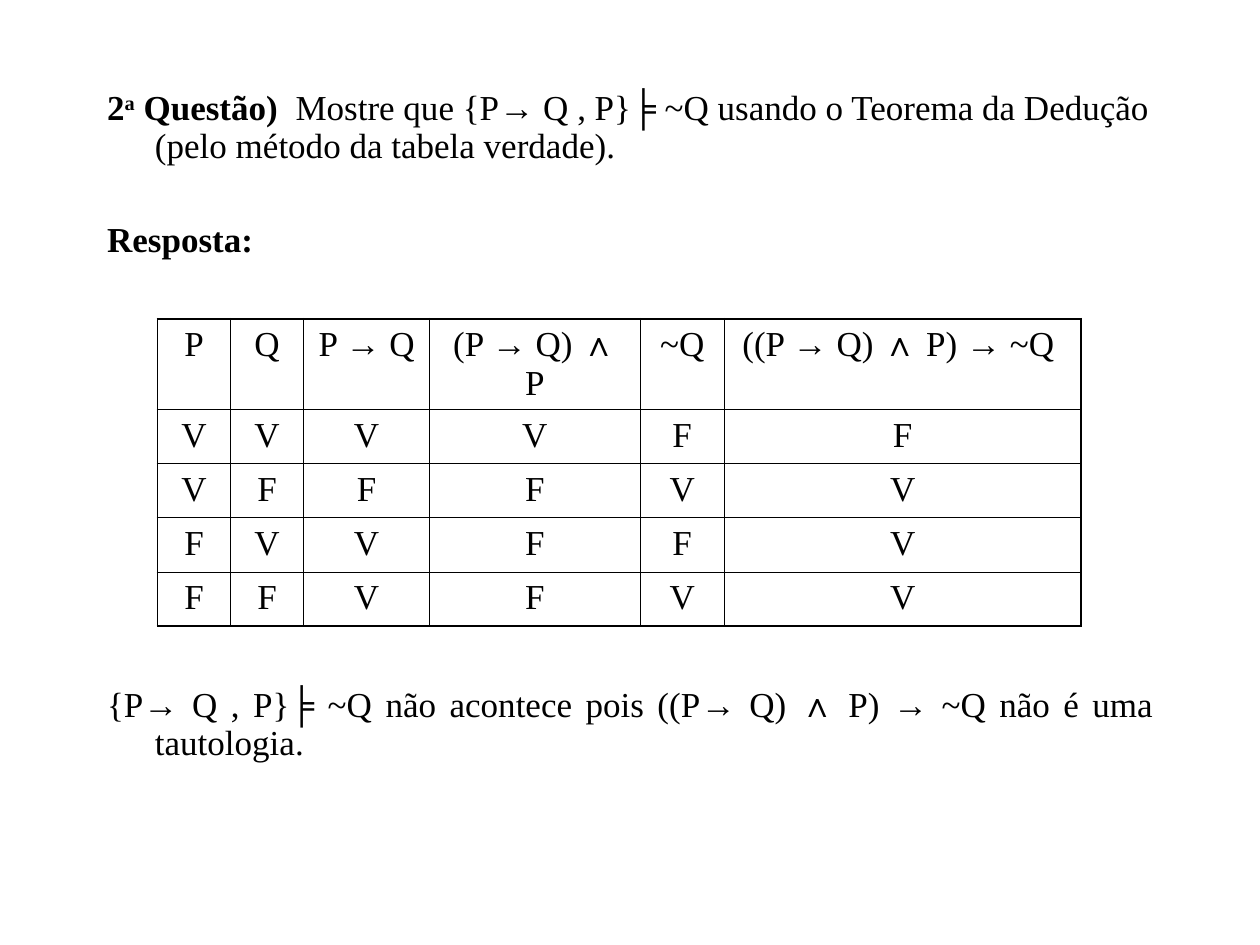
from itertools import groupby

from lxml.etree import SubElement
from pptx import Presentation
from pptx.dml.color import RGBColor
from pptx.enum.text import MSO_AUTO_SIZE, PP_ALIGN
from pptx.oxml.ns import qn
from pptx.util import Inches, Pt

COLORS = {"ink": "000000"}
TEXT_FONT, SYMBOL_FONT, SYMBOLS = "Times New Roman", "Arial", "→∧"
HANGING = Inches(0.38)
BORDER = {"outer": Pt(1.08), "inner": Pt(0.45)}

BOLD, RAISED, PLAIN = {"bold": True}, {"bold": True, "raised": True}, {}
# Each paragraph: space before in points, alignment, (text, style) spans
PARAGRAPHS = [
    (5, PP_ALIGN.LEFT, [
        ("2", BOLD), ("a", RAISED), (" Questão)  ", BOLD),
        ("Mostre que {P→ Q , P}╞ ~Q usando o Teorema da Dedução "
         "(pelo método da tabela verdade).", PLAIN)]),
    (32, PP_ALIGN.LEFT, [("Resposta:", BOLD)]),
    (244, PP_ALIGN.JUSTIFY, [
        ("{P→ Q , P}╞ ~Q não acontece pois ((P→ Q) ∧ P) → ~Q "
         "não é uma tautologia.", PLAIN)]),
]
TRUTH_TABLE = [
    ["P", "Q", "P → Q", "(P → Q) ∧ P", "~Q", "((P → Q) ∧ P) → ~Q "],
    *map(list, ["VVVVFF", "VFFFVV", "FVVFFV", "FFVFVV"]),
]
COLUMN_WIDTHS = [0.58, 0.58, 1, 1.67, 0.67, 2.83]
ROW_HEIGHT = 0.43


def write(para, text, bold=False, raised=False):
    """Add text to a paragraph, with the logic symbols in their own font."""
    for is_symbol, letters in groupby(text, lambda letter: letter in SYMBOLS):
        span = para.add_run()
        span.text = "".join(letters)
        formats = {"name": SYMBOL_FONT if is_symbol else TEXT_FONT,
                   "size": Pt(20), "bold": bold}
        for name, value in formats.items():
            setattr(span.font, name, value)
        span.font.color.rgb = RGBColor.from_string(COLORS["ink"])
        if raised:
            span.font._element.set("baseline", "30000")


def set_borders(cell, outer_sides):
    properties = cell._tc.get_or_add_tcPr()
    for position, side in enumerate("LRTB"):
        line = SubElement(properties, qn(f"a:ln{side}"))
        line.set("w", str(BORDER["outer" if side in outer_sides else "inner"]))
        fill = SubElement(line, qn("a:solidFill"))
        SubElement(fill, qn("a:srgbClr")).set("val", COLORS["ink"])
        properties.remove(line)
        properties.insert(position, line)


def add_body(page):
    body = page.placeholders[1]
    body.left, body.top, body.width, body.height = map(
        Inches, (0.75, 0.67, 8.5, 6))
    frame = body.text_frame
    frame.word_wrap = True
    frame.auto_size = MSO_AUTO_SIZE.NONE
    for index, (space, alignment, spans) in enumerate(PARAGRAPHS):
        para = frame.add_paragraph() if index else frame.paragraphs[0]
        formats = {"space_before": Pt(space), "line_spacing": 0.9,
                   "alignment": alignment}
        for name, value in formats.items():
            setattr(para, name, value)
        properties = para._p.get_or_add_pPr()
        properties.set("marL", str(HANGING))
        properties.set("indent", str(-HANGING))
        SubElement(properties, qn("a:buNone"))
        for text, style in spans:
            write(para, text, **style)


def add_truth_table(page):
    rows, columns = len(TRUTH_TABLE), len(COLUMN_WIDTHS)
    table = page.shapes.add_table(
        rows, columns, Inches(1.25), Inches(2.53),
        Inches(sum(COLUMN_WIDTHS)), Inches(rows * ROW_HEIGHT)).table
    table.first_row = table.horz_banding = False
    for column, width in zip(table.columns, COLUMN_WIDTHS):
        column.width = Inches(width)
    for r, values in enumerate(TRUTH_TABLE):
        for c, value in enumerate(values):
            cell = table.cell(r, c)
            cell.fill.background()
            edges = {"L": c == 0, "R": c == columns - 1,
                     "T": r == 0, "B": r == rows - 1}
            set_borders(cell, [side for side, outer in edges.items() if outer])
            para = cell.text_frame.paragraphs[0]
            para.alignment = PP_ALIGN.CENTER
            para.space_before = Pt(5)
            write(para, value)


def main():
    deck = Presentation()
    deck.slide_width, deck.slide_height = Inches(10), Inches(7.5)
    page = deck.slides.add_slide(deck.slide_layouts[1])
    title = page.shapes.title._element
    title.getparent().remove(title)
    add_body(page)
    add_truth_table(page)
    deck.save("out.pptx")


if __name__ == "__main__":
    main()
